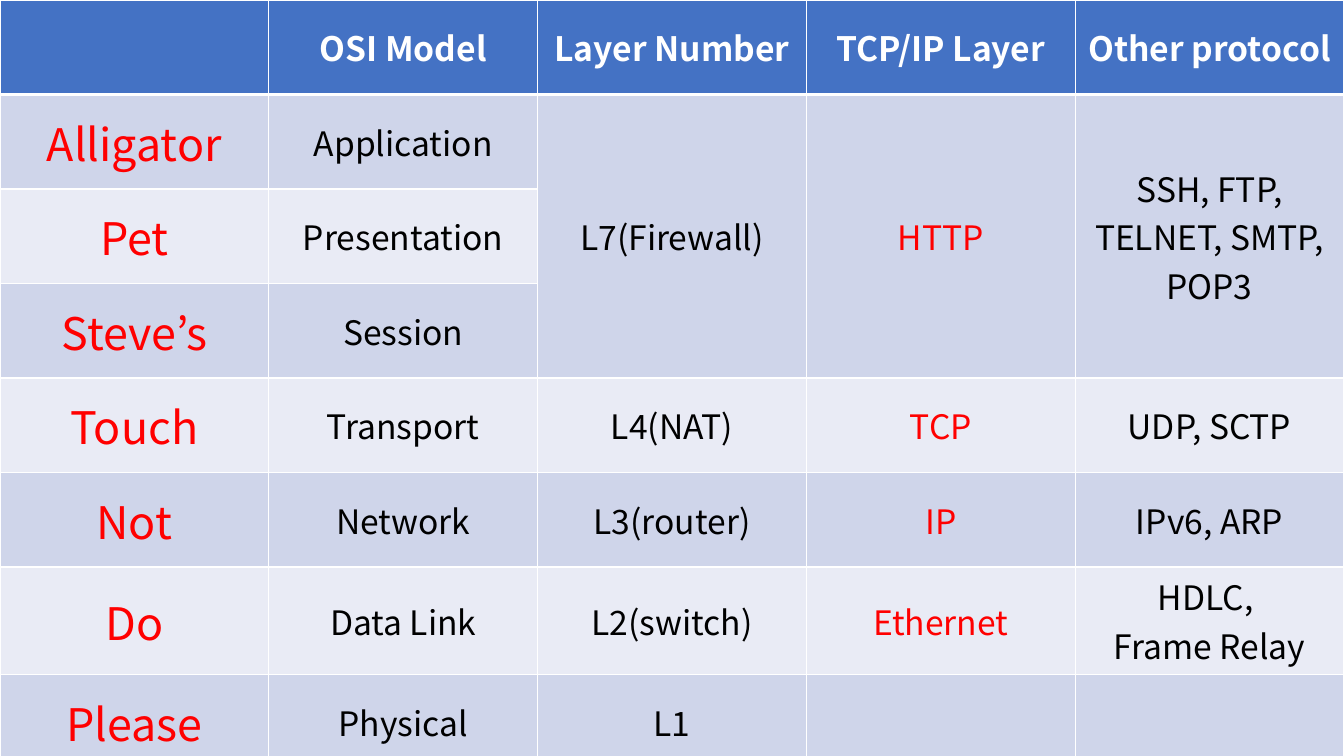
from dataclasses import dataclass

from lxml import etree
from pptx import Presentation
from pptx.dml.color import RGBColor as Color
from pptx.enum.text import MSO_ANCHOR as Anchor, PP_ALIGN as Align
from pptx.oxml.ns import qn
from pptx.util import Emu, Pt


@dataclass(frozen=True)
class Theme:
    font: str = "Noto Sans CJK KR"
    header_fill: str = "4472C4"
    bands: tuple = ("E9EBF5", "CFD5EA")
    white: str = "FFFFFF"
    black: str = "000000"
    red: str = "FF0000"
    body_size: int = 24
    mnemonic_size: int = 32
    border: int = 1
    header_border: int = 3


theme = Theme()
EMU_PER_PIXEL = 914400 / 100.8
SLIDE_WIDTH, SLIDE_HEIGHT = 1344, 756
MNEMONIC, TCP_IP = 0, 3

rows = [
    ["", "OSI Model", "Layer Number", "TCP/IP Layer", "Other protocol"],
    ["Alligator", "Application", "L7(Firewall)", "HTTP", "SSH, FTP, TELNET, SMTP, POP3"],
    ["Pet", "Presentation", "", "", ""],
    ["Steve’s", "Session", "", "", ""],
    ["Touch", "Transport", "L4(NAT)", "TCP", "UDP, SCTP"],
    ["Not", "Network", "L3(router)", "IP", "IPv6, ARP"],
    ["Do", "Data Link", "L2(switch)", "Ethernet", "HDLC, \nFrame Relay"],
    ["Please", "Physical", "L1", "", ""],
]


def pixels(value):
    return Emu(round(value * EMU_PER_PIXEL))


def add_borders(cell, top, bottom):
    properties = cell._tc.get_or_add_tcPr()
    widths = {"a:lnL": theme.border, "a:lnR": theme.border, "a:lnT": top, "a:lnB": bottom}
    for position, (side, width) in enumerate(widths.items()):
        line = etree.Element(qn(side), w=str(Pt(width)))
        fill = etree.SubElement(line, qn("a:solidFill"))
        etree.SubElement(fill, qn("a:srgbClr"), val=theme.white)
        properties.insert(position, line)


presentation = Presentation()
presentation.slide_width = pixels(SLIDE_WIDTH)
presentation.slide_height = pixels(SLIDE_HEIGHT)
slide = presentation.slides.add_slide(presentation.slide_layouts[6])
table = slide.shapes.add_table(
    len(rows), len(rows[0]), 0, 0, pixels(SLIDE_WIDTH), pixels(SLIDE_HEIGHT)
).table

for row_index, row in enumerate(rows):
    is_header = row_index == 0
    fill = theme.header_fill if is_header else theme.bands[row_index % 2]
    top = theme.header_border if row_index == 1 else theme.border
    bottom = theme.header_border if is_header else theme.border
    for column_index, text in enumerate(row):
        cell = table.cell(row_index, column_index)
        cell.fill.solid()
        cell.fill.fore_color.rgb = Color.from_string(fill)
        add_borders(cell, top, bottom)
        cell.vertical_anchor = Anchor.MIDDLE
        cell.text = text
        is_mnemonic = column_index == MNEMONIC
        is_red = column_index in (MNEMONIC, TCP_IP)
        color = theme.white if is_header else theme.red if is_red else theme.black
        for paragraph in cell.text_frame.paragraphs:
            paragraph.alignment = Align.CENTER
            paragraph.font.name = theme.font
            paragraph.font.size = Pt(theme.mnemonic_size if is_mnemonic else theme.body_size)
            paragraph.font.bold = is_header
            paragraph.font.color.rgb = Color.from_string(color)

for column_index in range(2, 5):
    table.cell(1, column_index).merge(table.cell(3, column_index))

presentation.save("out.pptx")
